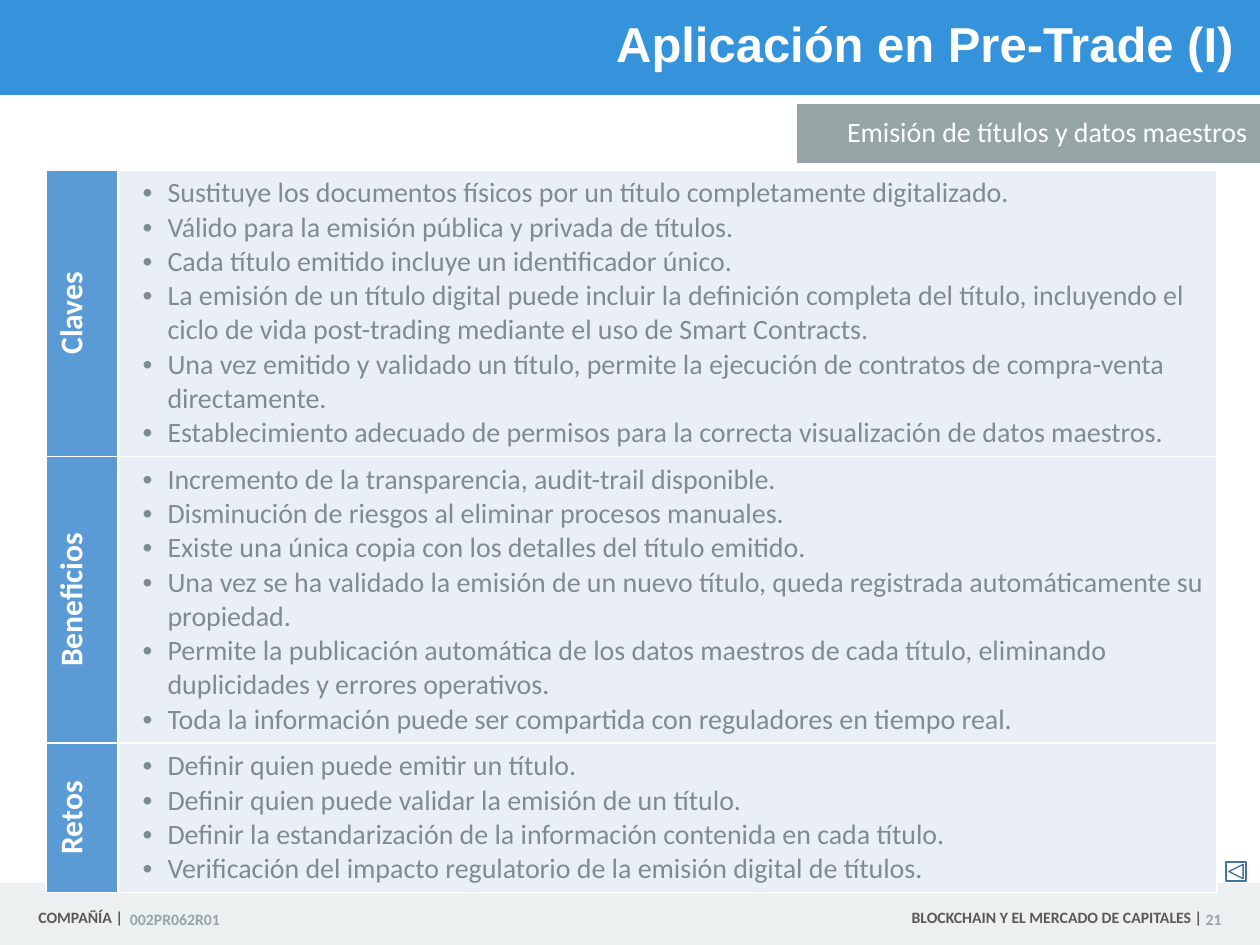
from dataclasses import dataclass

from lxml import etree
from pptx import Presentation, util as u
from pptx.dml.color import RGBColor
from pptx.enum import shapes, text
from pptx.oxml import ns

SCALE = 914400 / 126  # EMU per pixel


@dataclass(frozen=True)
class Theme:
    band: str = "3493DB"
    footer: str = "ECF0F1"
    grey: str = "95A5A6"
    dark: str = "595959"
    white: str = "FFFFFF"
    label: str = "5B9BD5"
    cell: str = "EAEFF7"
    body: str = "7F8C8D"
    button: str = "43739E"
    head_font: str = "Arial"
    body_font: str = "Calibri"
    title_size: int = 28
    label_size: int = 18
    body_size: int = 16
    footer_size: int = 9


THEME = Theme()

SECTIONS = [
    ("Claves", 286, [
        "Sustituye los documentos físicos por un título completamente digitalizado.",
        "Válido para la emisión pública y privada de títulos.",
        "Cada título emitido incluye un identificador único.",
        "La emisión de un título digital puede incluir la definición completa del título, "
        "incluyendo el ciclo de vida post-trading mediante el uso de Smart Contracts.",
        "Una vez emitido y validado un título, permite la ejecución de contratos de "
        "compra-venta directamente.",
        "Establecimiento adecuado de permisos para la correcta visualización de datos maestros.",
    ]),
    ("Beneficios", 286, [
        "Incremento de la transparencia, audit-trail disponible.",
        "Disminución de riesgos al eliminar procesos manuales.",
        "Existe una única copia con los detalles del título emitido.",
        "Una vez se ha validado la emisión de un nuevo título, queda registrada "
        "automáticamente su propiedad.",
        "Permite la publicación automática de los datos maestros de cada título, "
        "eliminando duplicidades y errores operativos.",
        "Toda la información puede ser compartida con reguladores en tiempo real.",
    ]),
    ("Retos", 149, [
        "Definir quien puede emitir un título.",
        "Definir quien puede validar la emisión de un título.",
        "Definir la estandarización de la información contenida en cada título.",
        "Verificación del impacto regulatorio de la emisión digital de títulos.",
    ]),
]

# left, top, width, text, colour, right-aligned
FOOTERS = [
    (11, 898, 112, "COMPAÑÍA |", THEME.dark, True),
    (130, 900, 112, "002PR062R01", THEME.grey, False),
    (776, 898, 426, "BLOCKCHAIN Y EL MERCADO DE CAPITALES |", THEME.dark, True),
    (1202, 900, 44, " 21", THEME.grey, False),
]


def px(value):
    return u.Emu(round(value * SCALE))


def rgb(colour):
    return RGBColor.from_string(colour)


def style(para, size, colour, bold=False, font=THEME.body_font, align=text.PP_ALIGN.LEFT):
    para.alignment = align
    para.font.size = u.Pt(size)
    para.font.name = font
    para.font.bold = bold
    para.font.color.rgb = rgb(colour)


def add_box(page, left, top, width, height, fill=None, line=None,
            kind=shapes.MSO_SHAPE.RECTANGLE):
    box = page.shapes.add_shape(kind, px(left), px(top), px(width), px(height))
    box.shadow.inherit = False
    if fill:
        box.fill.solid()
        box.fill.fore_color.rgb = rgb(fill)
    else:
        box.fill.background()
    if line:
        box.line.color.rgb = rgb(line)
        box.line.width = u.Pt(0.75)
    else:
        box.line.fill.background()
    return box


def add_footer(page, left, top, width, words, colour, right):
    frame = page.shapes.add_textbox(px(left), px(top), px(width), px(39)).text_frame
    frame.word_wrap = True
    frame.vertical_anchor = text.MSO_ANCHOR.MIDDLE
    if right:
        frame.margin_right = 0
    else:
        frame.margin_left = 0
    para = frame.paragraphs[0]
    para.text = words
    align = text.PP_ALIGN.RIGHT if right else text.PP_ALIGN.LEFT
    style(para, THEME.footer_size, colour, bold=True, align=align)


def place_title(page, words):
    title = page.shapes.title
    title.left, title.top, title.width, title.height = px(334), px(1), px(912), px(91)
    frame = title.text_frame
    frame.auto_size = text.MSO_AUTO_SIZE.NONE
    frame.vertical_anchor = text.MSO_ANCHOR.MIDDLE
    para = frame.paragraphs[0]
    para.text = words
    para.line_spacing = 0.9
    style(para, THEME.title_size, THEME.white, True, THEME.head_font, text.PP_ALIGN.RIGHT)
    # Bring the title in front of the band
    title.element.getparent().append(title.element)


def add_subtitle(page, words):
    frame = add_box(page, 797, 104, 463, 59, THEME.grey).text_frame
    frame.word_wrap = True
    frame.vertical_anchor = text.MSO_ANCHOR.MIDDLE
    para = frame.paragraphs[0]
    para.text = words
    para.line_spacing = 0.9
    para.space_before = u.Pt(10)
    style(para, THEME.body_size, THEME.white, align=text.PP_ALIGN.RIGHT)


def format_cell(cell, fill):
    props = cell._tc.get_or_add_tcPr()
    for side in ("lnL", "lnR", "lnT", "lnB"):
        border = etree.SubElement(props, ns.qn(f"a:{side}"), w=str(u.Pt(1)))
        solid = etree.SubElement(border, ns.qn("a:solidFill"))
        etree.SubElement(solid, ns.qn("a:srgbClr"), val=THEME.white)
    cell.fill.solid()
    cell.fill.fore_color.rgb = rgb(fill)
    return props


def add_bullet(para):
    para.level = 1
    props = para._p.get_or_add_pPr()
    props.set("marL", str(px(37)))
    props.set("indent", str(-px(25)))
    etree.SubElement(props, ns.qn("a:buFont"), typeface="Arial")
    etree.SubElement(props, ns.qn("a:buChar"), char="•")


def add_sections(page):
    height = sum(row_height for _, row_height, _ in SECTIONS)
    table = page.shapes.add_table(len(SECTIONS), 2, px(46), px(170), px(1171), px(height)).table
    table.first_row = table.horz_banding = False
    table.columns[0].width, table.columns[1].width = px(72), px(1099)
    for row, (name, row_height, points) in zip(table.rows, SECTIONS):
        row.height = px(row_height)
        label, body = row.cells
        format_cell(label, THEME.label).set("vert", "vert270")
        label.text = name
        style(label.text_frame.paragraphs[0], THEME.label_size, THEME.white, True,
              align=text.PP_ALIGN.CENTER)
        format_cell(body, THEME.cell)
        body.text = "\n".join(points)
        for para in body.text_frame.paragraphs:
            add_bullet(para)
            style(para, THEME.body_size, THEME.body)


def main():
    deck = Presentation()
    deck.slide_width, deck.slide_height = px(1260), px(945)
    page = deck.slides.add_slide(deck.slide_layouts[5])

    # Bands and footer
    add_box(page, 0, 0, 1261, 95, THEME.band)
    add_box(page, 0, 883, 1260, 67, THEME.footer)
    for footer in FOOTERS:
        add_footer(page, *footer)

    # Headings
    add_subtitle(page, "Emisión de títulos y datos maestros")
    place_title(page, "Aplicación en Pre-Trade (I)")

    # Content and back button
    add_sections(page)
    add_box(page, 1226, 862, 20, 19, line=THEME.button,
            kind=shapes.MSO_SHAPE.ACTION_BUTTON_BACK_OR_PREVIOUS)

    deck.save("out.pptx")


main()
